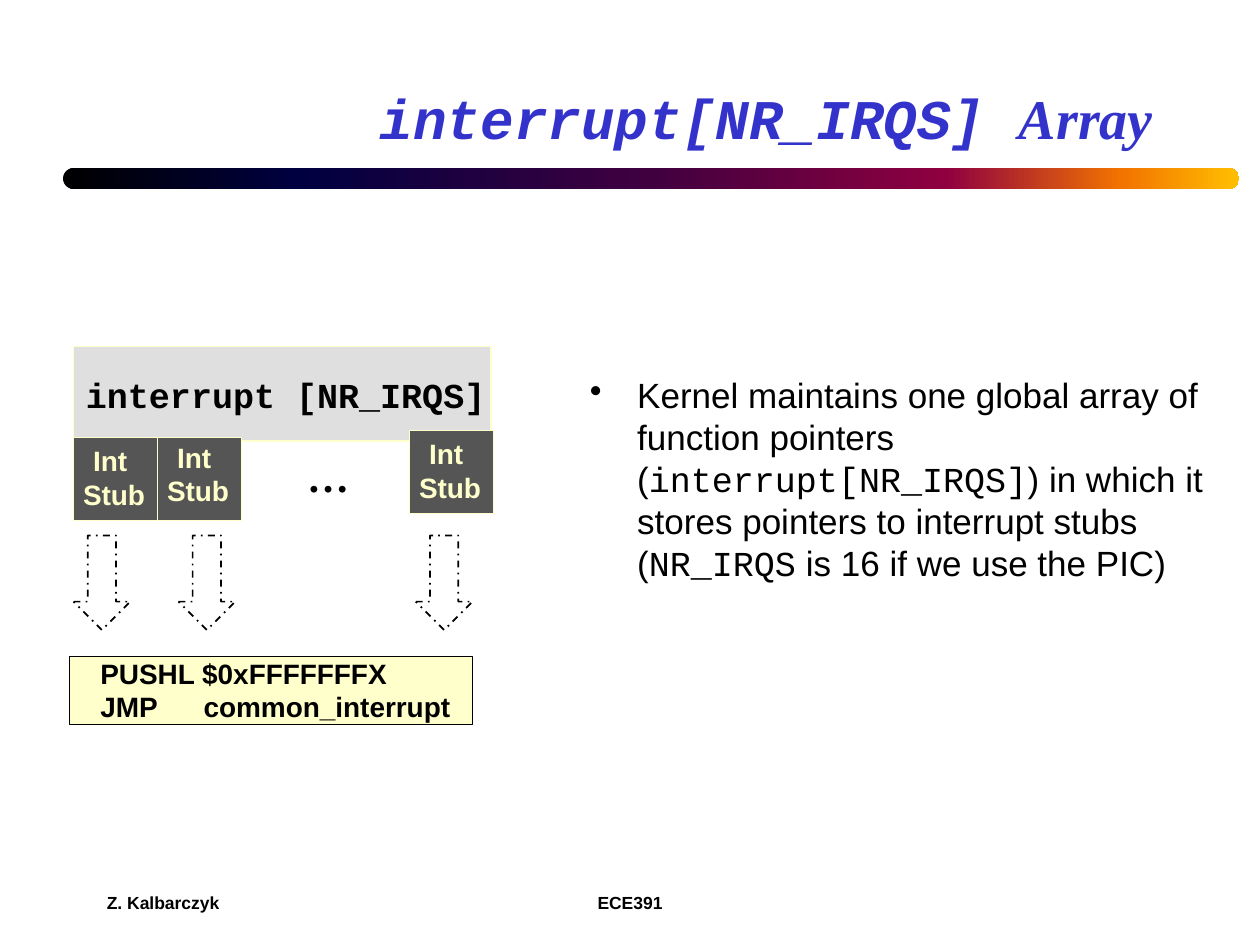
import pptx
import pptx.dml.color
import pptx.enum.dml
import pptx.enum.shapes
import pptx.enum.text
import pptx.oxml
import pptx.oxml.ns
import pptx.util

Pt = pptx.util.Pt
SHAPE = pptx.enum.shapes.MSO_SHAPE
ALIGN = pptx.enum.text.PP_ALIGN
ANCHOR = pptx.enum.text.MSO_ANCHOR
NAMESPACE = pptx.oxml.ns.nsdecls("a")

SANS, MONO, SERIF = "Arial", "Courier New", "Times New Roman"
BLACK, CREAM, BLUE = "000000", "FFFFCC", "3333CC"
LIGHT_GREY, DARK_GREY = "DFDFDF", "555555"
RAINBOW = [(0, "000000"), (20, "000040"), (50, "400040"),
           (75, "8F0040"), (90, "F27300"), (100, "FFBF00")]


def color(hex_string):
    return pptx.dml.color.RGBColor.from_string(hex_string)


class SlideBuilder:
    def __init__(self, page, ink=BLACK):
        self.page = page
        self.ink = ink

    def fill_text(self, box, lines, size, ink=None, align=ALIGN.LEFT, anchor=ANCHOR.TOP,
                  bold=False, italic=False, wrap=True):
        """Each line is a list of (text, font name) spans."""
        frame = box.text_frame
        frame.word_wrap = wrap
        frame.auto_size = pptx.enum.text.MSO_AUTO_SIZE.NONE
        frame.vertical_anchor = anchor
        for index, spans in enumerate(lines):
            para = frame.add_paragraph() if index else frame.paragraphs[0]
            para.alignment = align
            for text, font_name in spans:
                span = para.add_run()
                span.text = text
                span.font.name = font_name
                span.font.size = Pt(size)
                span.font.bold = bold
                span.font.italic = italic
                span.font.color.rgb = color(ink or self.ink)
        return box

    def title(self, bounds, spans, **style):
        box = self.page.shapes.title
        box.left, box.top, box.width, box.height = map(Pt, bounds)
        return self.fill_text(box, [spans], **style)

    def text(self, bounds, lines, size, parent=None, **style):
        box = (parent or self.page).shapes.add_textbox(*map(Pt, bounds))
        return self.fill_text(box, lines, size, **style)

    def shape(self, kind, bounds, fill=None, line=None, width=1, dash=None, parent=None):
        box = (parent or self.page).shapes.add_shape(kind, *map(Pt, bounds))
        box.shadow.inherit = False
        if fill:
            box.fill.solid()
            box.fill.fore_color.rgb = color(fill)
        else:
            box.fill.background()
        if line:
            box.line.color.rgb = color(line)
            box.line.width = Pt(width)
            box.line.dash_style = dash
        else:
            box.line.fill.background()
        return box

    def gradient_bar(self, bounds, stops):
        bar = self.shape(SHAPE.ROUNDED_RECTANGLE, bounds)
        bar.adjustments[0] = 0.5
        bar.fill.gradient()
        bar.fill.gradient_angle = 0
        stop_list = bar._element.spPr.find(".//" + pptx.oxml.ns.qn("a:gsLst"))
        stop_list.clear()
        for percent, hex_string in stops:
            stop_list.append(pptx.oxml.parse_xml(
                f'<a:gs {NAMESPACE} pos="{percent * 1000}">'
                f'<a:srgbClr val="{hex_string}"/></a:gs>'))

    def bullet(self, para, indent):
        properties = para._p.get_or_add_pPr()
        properties.set("marL", str(Pt(indent)))
        properties.set("indent", str(-Pt(indent)))
        properties.append(pptx.oxml.parse_xml(f'<a:buChar {NAMESPACE} char="•"/>'))

    def tab_stop(self, para, position):
        para._p.get_or_add_pPr().append(pptx.oxml.parse_xml(
            f'<a:tabLst {NAMESPACE}><a:tab pos="{Pt(position)}" algn="l"/></a:tabLst>'))

    def stub(self, left, top, label_top):
        group = self.page.shapes.add_group_shape()
        self.shape(SHAPE.RECTANGLE, (left, top, 48, 47.5), DARK_GREY, CREAM, parent=group)
        self.text((left - 2, label_top, 50.4, 46), [[("Int ", SANS)], [("Stub", SANS)]], 16,
                  parent=group, ink=CREAM, align=ALIGN.CENTER, bold=True, wrap=False)


def main():
    deck = pptx.Presentation()
    deck.slide_width, deck.slide_height = Pt(720), Pt(540)
    page = deck.slides.add_slide(deck.slide_layouts[5])
    builder = SlideBuilder(page)

    # Title and rule
    builder.gradient_bar((36, 96, 672, 12), RAINBOW)
    builder.title((54, 18, 612, 72), [("interrupt[NR_IRQS] ", MONO), ("Array", SERIF)],
                  size=32, ink=BLUE, align=ALIGN.RIGHT, anchor=ANCHOR.BOTTOM,
                  bold=True, italic=True)

    # Footer
    for left, width, text, align in [(54, 150, "Z. Kalbarczyk", ALIGN.LEFT),
                                     (246, 228, "ECE391", ALIGN.CENTER)]:
        builder.text((left, 498, width, 36), [[(text, SANS)]], 10,
                     align=align, anchor=ANCHOR.MIDDLE, bold=True)

    # Explanation
    body = builder.text((330, 210, 378, 219.6), [[
        ("Kernel maintains one global array of function pointers (", SANS),
        ("interrupt[NR_IRQS]", MONO),
        (") in which it stores pointers to interrupt stubs (", SANS),
        ("NR_IRQS", MONO),
        (" is 16 if we use the PIC)", SANS)]], 20)
    para = body.text_frame.paragraphs[0]
    para.space_before = Pt(6)
    builder.bullet(para, 27)

    # Array with its stubs
    builder.shape(SHAPE.RECTANGLE, (42, 198, 238.5, 54), LIGHT_GREY, CREAM)
    builder.text((42, 210, 250, 31.5), [[("interrupt [NR_IRQS]", MONO)]], 20, bold=True)
    for left, top, label_top in [(42, 250, 250), (90, 250, 248), (234, 246, 246)]:
        builder.stub(left, top, label_top)
    builder.text((168.5, 254, 39, 36), [[("…", SERIF)]], 24, bold=True, wrap=False)

    # Arrows down to the stub code
    for left in (42, 102, 237.6):
        builder.shape(SHAPE.DOWN_ARROW, (left, 306, 32.4, 54), line=BLACK,
                      dash=pptx.enum.dml.MSO_LINE.DASH_DOT)

    # Stub code
    code = builder.shape(SHAPE.RECTANGLE, (39.6, 375, 230.4, 39), CREAM, BLACK, 0.75)
    builder.fill_text(code, [[("PUSHL $0xFFFFFFFX", SANS)],
                             [("JMP\tcommon_interrupt", SANS)]], 16, bold=True)
    frame = code.text_frame
    frame.margin_top = frame.margin_right = frame.margin_bottom = 0
    frame.margin_left = Pt(17.8)
    builder.tab_stop(frame.paragraphs[1], 59)

    deck.save("out.pptx")


if __name__ == "__main__":
    main()
